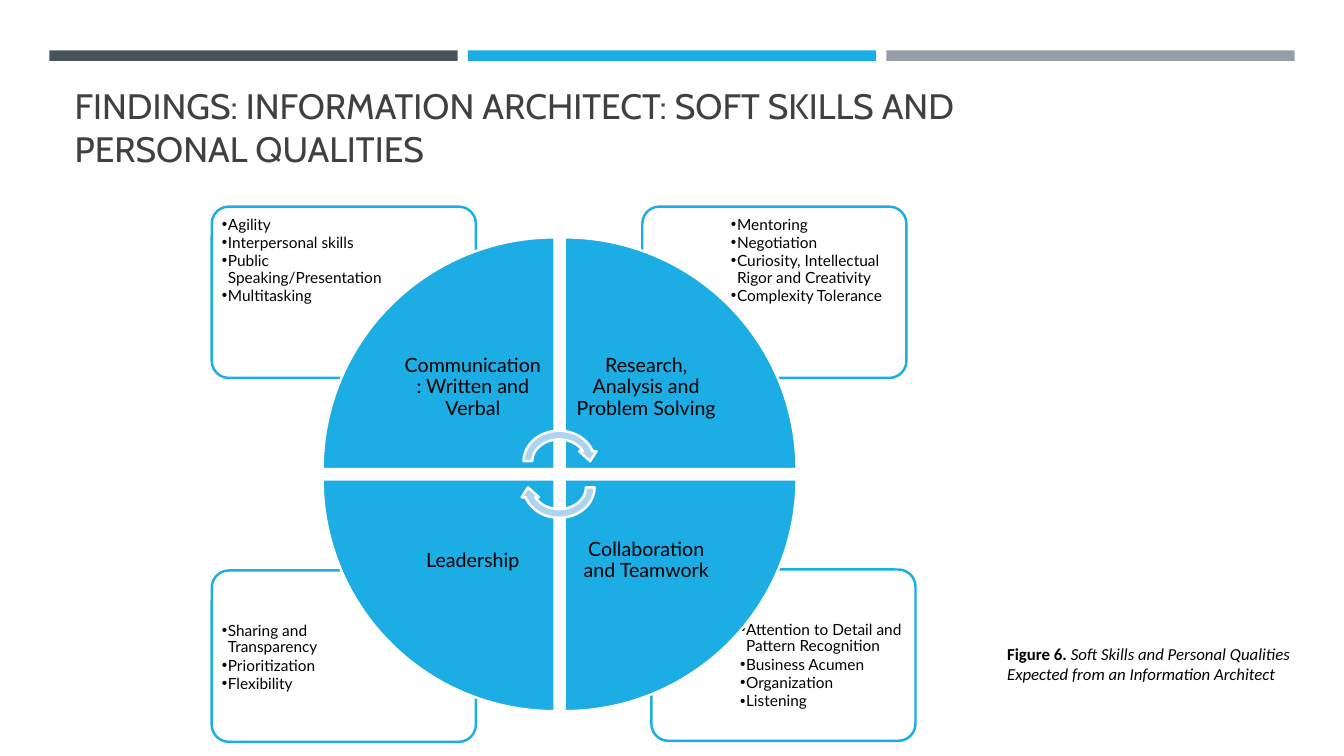
from lxml import etree
from pptx import Presentation, util as u
from pptx.dml.color import RGBColor
from pptx.enum import shapes, text
from pptx.oxml import ns

FORM = shapes.MSO_SHAPE
ANCHOR = text.MSO_ANCHOR
ALIGN = text.PP_ALIGN


def color(value):
    return RGBColor.from_string(value)


class SkillsSlide:
    CELL = u.Inches(0.1)
    ACCENT, PALE, WHITE, BLACK = "1CADE4", "ACD3EF", "FFFFFF", "000000"

    def __init__(self, deck, layout):
        self.slide = deck.slides.add_slide(deck.slide_layouts[layout])
        self.shapes = self.slide.shapes

    def grid(self, *cells):
        return [int(cell * self.CELL) for cell in cells]

    def place(self, item, *cells):
        item.left, item.top, item.width, item.height = self.grid(*cells)

    def form(self, kind, cells, fill, line=None, turn=0, alpha=None):
        form = self.shapes.add_shape(kind, *self.grid(*cells))
        form.shadow.inherit = False
        form.rotation = turn
        form.fill.solid()
        form.fill.fore_color.rgb = color(fill)
        if alpha:
            tint = form.fill._xPr.find(".//" + ns.qn("a:srgbClr"))
            etree.SubElement(tint, ns.qn("a:alpha"), val=str(alpha * 1000))
        if line:
            form.line.color.rgb = color(line)
            form.line.width = u.Pt(1.75)
        else:
            form.line.fill.background()
        return form

    def frame(self, item, anchor, inset=None):
        frame = item.text_frame
        frame.word_wrap = True
        frame.auto_size = text.MSO_AUTO_SIZE.NONE
        frame.vertical_anchor = anchor
        if inset is not None:
            frame.margin_left = frame.margin_right = u.Inches(inset)
            frame.margin_top = frame.margin_bottom = u.Inches(inset)
        return frame

    def font(self, paragraph, name, size, ink):
        font = paragraph.font
        font.name, font.size = name, u.Pt(size)
        font.color.rgb = color(ink)
        return font

    def title(self, lines, cells):
        title = self.shapes.title
        self.place(title, *cells)
        heading = self.frame(title, ANCHOR.BOTTOM).paragraphs[0]
        heading.alignment = ALIGN.LEFT
        for index, line in enumerate(lines):
            if index:
                heading.add_line_break()
            heading.add_run().text = line
        self.font(heading, "Cabin", 25.2, "404040")

    def skills(self, slot, items, cells):
        body = self.slide.placeholders[slot]
        self.place(body, *cells)
        self.shapes._spTree.append(body._element)
        frame = self.frame(body, ANCHOR.TOP, 0.06)
        for index, item in enumerate(items):
            skill = frame.add_paragraph() if index else frame.paragraphs[0]
            skill.text = item
            skill.alignment = ALIGN.LEFT
            skill.line_spacing = 0.9
            skill.space_before, skill.space_after = u.Pt(0), u.Pt(1.2)
            layout = skill._p.get_or_add_pPr()
            layout.set("marL", str(u.Inches(0.06)))
            layout.set("indent", str(-u.Inches(0.06)))
            etree.SubElement(layout, ns.qn("a:buChar"), char="•")
            self.font(skill, "Lato", 11, self.BLACK).bold = False

    def label(self, words, cells):
        box = self.shapes.add_textbox(*self.grid(*cells))
        label = self.frame(box, ANCHOR.MIDDLE, 0.11).paragraphs[0]
        label.text = words
        label.alignment = ALIGN.CENTER
        label.line_spacing = 0.9
        self.font(label, "Lato", 14, self.BLACK)

    def caption(self, number, words, cells):
        box = self.shapes.add_textbox(*self.grid(*cells))
        caption = self.frame(box, ANCHOR.TOP).paragraphs[0]
        figure, wording = caption.add_run(), caption.add_run()
        figure.text, wording.text = number, words
        figure.font.bold = wording.font.italic = True
        self.font(caption, "Calibri", 12, self.BLACK)


QUADRANTS = [
    ("Communication: Written and Verbal", (21, 20.5), (0.4, 0.4),
     ["Agility", "Interpersonal skills", "Public Speaking/Presentation",
      "Multitasking"]),
    ("Research, Analysis and Problem Solving", (63.7, 20.5), (8.2, 0.4),
     ["Mentoring", "Negotiation",
      "Curiosity, Intellectual Rigor and Creativity",
      "Complexity Tolerance"]),
    ("Collaboration and Teamwork", (64.6, 56.5), (8.2, 4.6),
     ["Attention to Detail and Pattern Recognition", "Business Acumen",
      "Organization", "Listening"]),
    ("Leadership", (21, 56.6), (0.4, 4.6),
     ["Sharing and Transparency", "Prioritization", "Flexibility"]),
]


def main():
    deck = Presentation()
    deck.slide_width, deck.slide_height = u.Inches(13.33), u.Inches(7.5)
    page = SkillsSlide(deck, 4)

    for index, fill in enumerate(("465359", page.ACCENT, "969FA7")):
        page.form(FORM.RECTANGLE, (4.9 + 41.5 * index, 5, 40.5, 1.05), fill)
    page.title(["FINDINGS: INFORMATION ARCHITECT: SOFT SKILLS AND ",
                "PERSONAL QUALITIES"], (6.4, 7.7, 120.6, 9.6))
    page.caption("Figure 6. ", "Soft Skills and Personal Qualities Expected "
                 "from an Information Architect", (98.9, 63.4, 30.2, 5))

    for slot, (_, (left, top), (right, down), items) in enumerate(QUADRANTS, 1):
        card = page.form(FORM.ROUNDED_RECTANGLE, (left, top, 26.2, 17),
                         page.WHITE, page.ACCENT, alpha=90)
        card.adjustments[0] = 0.1
        page.skills(slot, items, (left + right, top + down, 17.6, 12))

    center_x, center_y, half_gap, radius, side = 55.5, 47.05, 0.5, 23, 16.2
    for index, (name, *_) in enumerate(QUADRANTS):
        def corner(size):
            x = center_x + (half_gap if index in (1, 2) else -half_gap - size)
            y = center_y + (half_gap if index > 1 else -half_gap - size)
            return x, y, size, size

        page.form(FORM.PIE_WEDGE, corner(radius), page.ACCENT, page.WHITE,
                  turn=90 * index)
        page.label(name, corner(side))

    for top, turn in ((42.3, 0), (44.9, 180)):
        page.form(FORM.CIRCULAR_ARROW, (51.5, top, 7.9, 6.9), page.PALE,
                  page.WHITE, turn=turn)

    deck.save("out.pptx")


if __name__ == "__main__":
    main()
